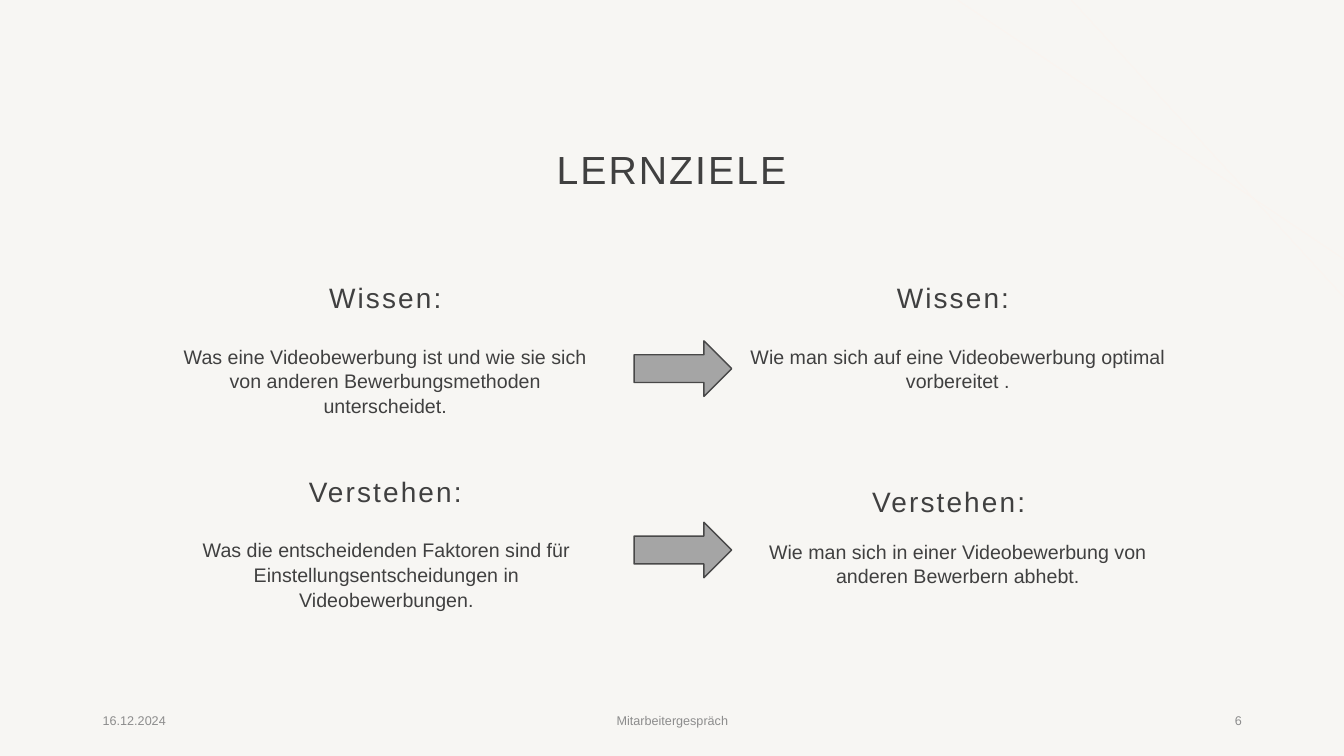
"""Build the slide "Lernziele" with four goals, two arrows and a footer."""
from lxml import etree
from pptx import Presentation
from pptx.dml.color import RGBColor
from pptx.enum.shapes import MSO_CONNECTOR, MSO_SHAPE
from pptx.enum.text import MSO_ANCHOR, PP_ALIGN
from pptx.oxml.ns import qn
from pptx.util import Cm, Pt

CENTER, LEFT, RIGHT = PP_ALIGN.CENTER, PP_ALIGN.LEFT, PP_ALIGN.RIGHT
TOP, MIDDLE = MSO_ANCHOR.TOP, MSO_ANCHOR.MIDDLE
STRAIGHT = MSO_CONNECTOR.STRAIGHT
RIGHT_ARROW = MSO_SHAPE.RIGHT_ARROW

FONT = "Arial"
PAPER = RGBColor(0xF7, 0xF6, 0xF3)
RAY = RGBColor(0xFB, 0xF4, 0xEF)
INK = RGBColor(0x40, 0x40, 0x40)
MUTED = RGBColor(0x8C, 0x8C, 0x8C)
ARROW_FILL = RGBColor(0xA5, 0xA5, 0xA5)
ARROW_LINE = RGBColor(0x48, 0x48, 0x48)

SLIDE_WIDTH, SLIDE_HEIGHT = 33.87, 19.05
GOAL_WIDTH, HEADING_HEIGHT, BODY_HEIGHT = 11.2, 1.02, 2.95
FOOTER_TOP, FOOTER_HEIGHT = 17.65, 1.02

RAYS = [(24.13, 6.53), (27, 7.49)]
GOALS = [
    ("Wissen:", (4.11, 7.11), (4.11, 8.53),
     "Was eine Videobewerbung ist und wie sie sich von anderen "
     "Bewerbungsmethoden unterscheidet."),
    ("Wissen: ", (18.54, 7.11), (18.54, 8.53),
     "Wie man sich auf eine Videobewerbung optimal vorbereitet ."),
    ("Verstehen:", (4.11, 11.99), (4.14, 13.41),
     "Was die entscheidenden Faktoren sind für "
     "Einstellungsentscheidungen in Videobewerbungen."),
    ("Verstehen:", (18.31, 12.24), (18.54, 13.44),
     "Wie man sich in einer Videobewerbung von anderen Bewerbern abhebt."),
]
ARROW_TOPS = [8.59, 13.16]
FOOTER = [
    ("16.12.2024", 2.34, 7.62, LEFT),
    ("Mitarbeitergespräch", 11.23, 11.43, CENTER),
    ("6", 23.93, 7.62, RIGHT),
]


def add_text(page, text, left, top, width, height, size, color=INK,
             align=CENTER, anchor=TOP, line_spacing=1.0, before=0, tracking=0):
    """Add a text box holding one formatted paragraph."""
    box = page.shapes.add_textbox(Cm(left), Cm(top), Cm(width), Cm(height))
    frame = box.text_frame
    frame.word_wrap = True
    frame.vertical_anchor = anchor
    para = frame.paragraphs[0]
    para.alignment = align
    para.line_spacing = line_spacing
    para.space_before = Pt(before)
    span = para.add_run()
    span.text = text
    span.font.name = FONT
    span.font.size = Pt(size)
    span.font.color.rgb = color
    if tracking:
        span.font._element.set("spc", str(round(tracking * 100)))


def add_ray(page, start_left, end_top):
    """Add a thin line from the top edge to the right edge."""
    ray = page.shapes.add_connector(
        STRAIGHT, Cm(start_left), Cm(0), Cm(SLIDE_WIDTH), Cm(end_top))
    ray.line.color.rgb = RAY
    ray.line.width = Pt(0.5)
    etree.SubElement(ray._element.spPr, qn("a:effectLst"))


def add_arrow(page, top):
    """Add a grey block arrow between the two columns."""
    arrow = page.shapes.add_shape(
        RIGHT_ARROW, Cm(15.98), Cm(top), Cm(2.46), Cm(1.4))
    arrow.shadow.inherit = False
    arrow.fill.solid()
    arrow.fill.fore_color.rgb = ARROW_FILL
    arrow.line.color.rgb = ARROW_LINE
    arrow.line.width = Pt(1)


def add_goal(page, heading, heading_at, body_at, body):
    """Add a goal's heading and its description."""
    add_text(page, heading, *heading_at, GOAL_WIDTH, HEADING_HEIGHT, size=20,
             line_spacing=0.8, before=10, tracking=1.5)
    add_text(page, body, *body_at, GOAL_WIDTH, BODY_HEIGHT, size=14,
             line_spacing=1.05, before=10)


def main():
    """Build and save the deck."""
    deck = Presentation()
    deck.slide_width, deck.slide_height = Cm(SLIDE_WIDTH), Cm(SLIDE_HEIGHT)
    page = deck.slides.add_slide(deck.slide_layouts[6])
    page.background.fill.solid()
    page.background.fill.fore_color.rgb = PAPER
    for start_left, end_top in RAYS:
        add_ray(page, start_left, end_top)
    add_text(page, "LERNZIELE", 5.23, 2.49, 23.39, 3.68, size=28,
             anchor=MIDDLE, line_spacing=0.9, tracking=1.5)
    for goal in GOALS:
        add_goal(page, *goal)
    for text, left, width, align in FOOTER:
        add_text(page, text, left, FOOTER_TOP, width, FOOTER_HEIGHT, size=9,
                 color=MUTED, align=align, anchor=MIDDLE)
    for top in ARROW_TOPS:
        add_arrow(page, top)
    deck.save("out.pptx")


if __name__ == "__main__":
    main()
